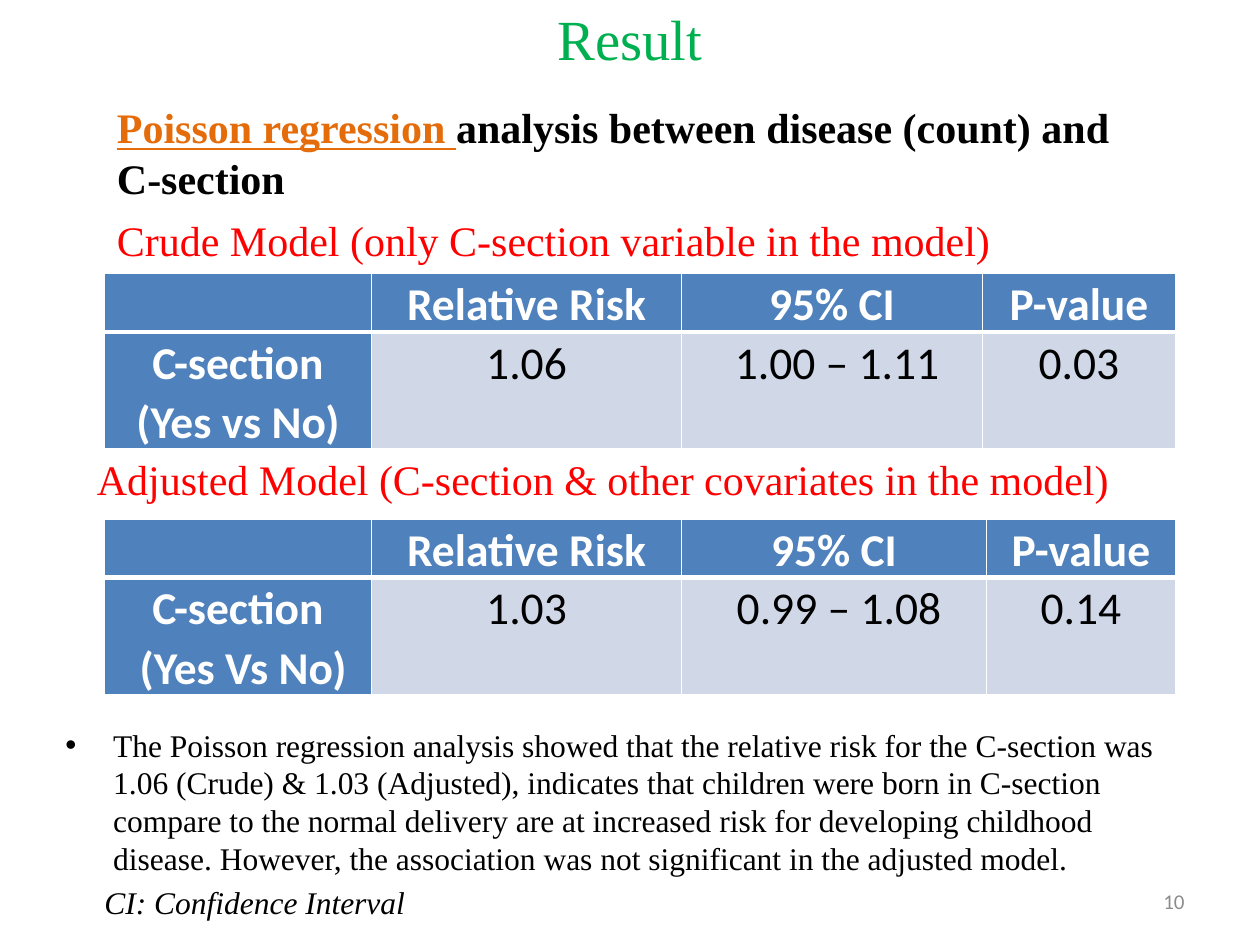
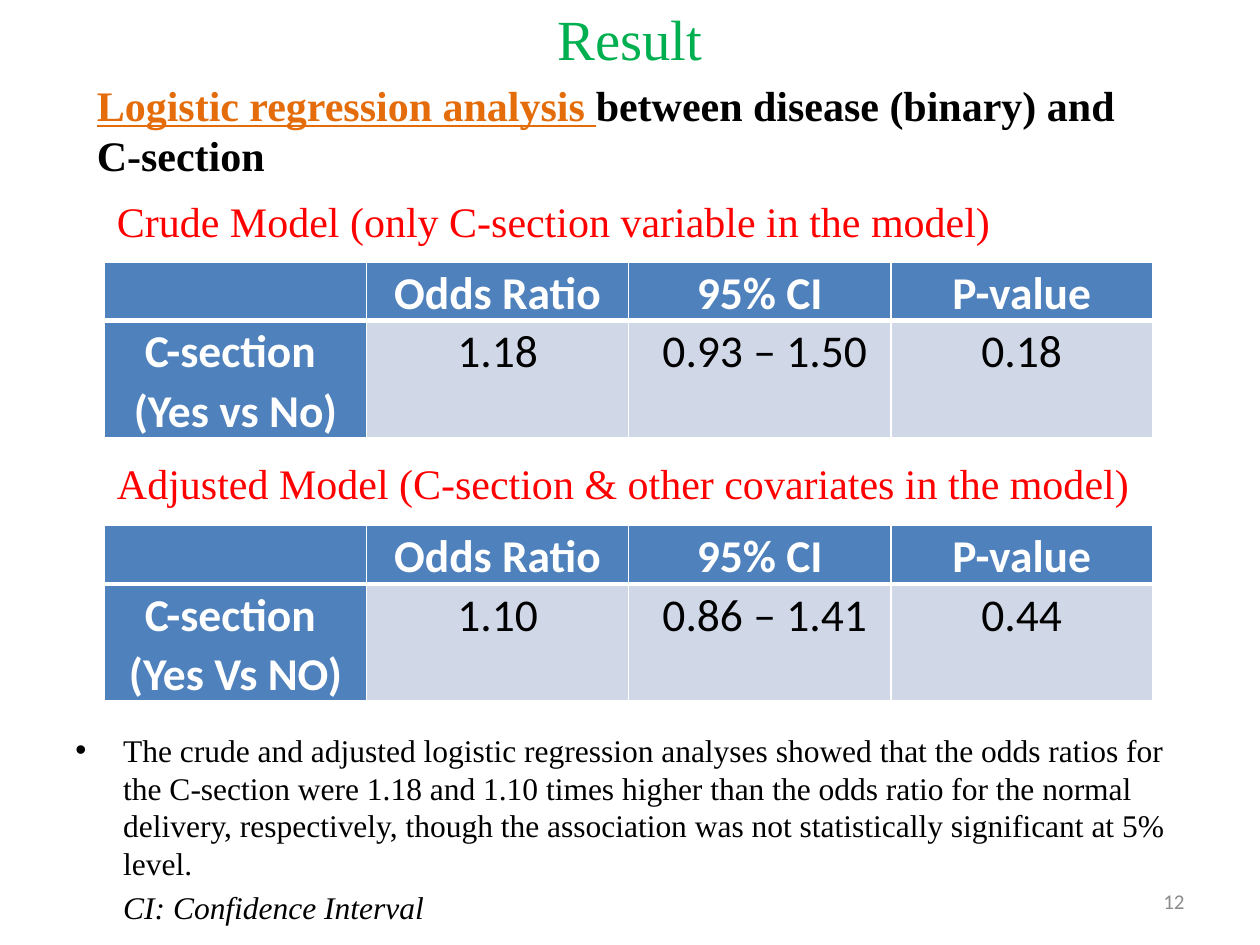
from dataclasses import dataclass

from lxml.etree import SubElement
from pptx import Presentation
from pptx.dml.color import RGBColor as RGB
from pptx.enum.text import MSO_ANCHOR as ANCHOR, PP_ALIGN as ALIGN
from pptx.oxml.ns import qn
from pptx.util import Inches, Pt


@dataclass(frozen=True)
class Theme:
    serif: str = "Times New Roman"
    sans: str = "Calibri"
    title: RGB = RGB(0x00, 0xB0, 0x50)
    method: RGB = RGB(0xE4, 0x6C, 0x0A)
    model: RGB = RGB(0xFF, 0x00, 0x00)
    ink: RGB = RGB(0x00, 0x00, 0x00)
    white: RGB = RGB(0xFF, 0xFF, 0xFF)
    header: RGB = RGB(0x4F, 0x81, 0xBD)
    value: RGB = RGB(0xD0, 0xD8, 0xE8)
    number: RGB = RGB(0x8C, 0x8C, 0x8C)
    title_size: float = 32.4
    heading_size: int = 24
    table_size: int = 26
    note_size: int = 18
    number_size: int = 12
    thin: int = 1
    thick: int = 3


THEME = Theme()
CRUDE = "Crude Model (only C-section variable in the model)"
ADJUSTED = "Adjusted Model (C-section & other covariates in the model)"
FOOTNOTE = "CI: Confidence Interval"


def style(font, name, size, color, bold=False, italic=False):
    font.name, font.size = name, Pt(size)
    font.color.rgb = color
    font.bold, font.italic = bold, italic


def add_frame(slide, left, top, width, height):
    box = slide.shapes.add_textbox(Inches(left), Inches(top), Inches(width), Inches(height))
    box.text_frame.word_wrap = True
    return box.text_frame


def add_title(slide, text):
    title = slide.shapes.title
    title.left, title.top = Inches(0.5), Inches(0.03)
    title.width, title.height = Inches(9), Inches(0.78)
    frame = title.text_frame
    frame.text = text
    frame.vertical_anchor = ANCHOR.TOP
    frame.margin_top = frame.margin_bottom = 0
    heading = frame.paragraphs[0]
    heading.alignment = ALIGN.CENTER
    style(heading.font, THEME.serif, THEME.title_size, THEME.title)


def add_method_heading(slide, place, method, subject):
    heading = add_frame(slide, *place, 0.91).paragraphs[0]
    for text, color in ((method, THEME.method), (subject, THEME.ink)):
        run = heading.add_run()
        run.text = text
        style(run.font, THEME.serif, THEME.heading_size, color, bold=True)
        run.font.underline = text == method


def add_model_label(slide, place, text):
    label = add_frame(slide, *place, 0.5).paragraphs[0]
    label.text = text
    style(label.font, THEME.serif, THEME.heading_size, THEME.model)


def set_borders(cell, **points):
    properties = cell._tc.get_or_add_tcPr()
    for side in "LRTB":
        width = Pt(points.get(side, THEME.thin))
        line = SubElement(properties, qn(f"a:ln{side}"), w=str(width))
        fill = SubElement(line, qn("a:solidFill"))
        SubElement(fill, qn("a:srgbClr"), val=str(THEME.white))


def fill_cell(cell, text, is_header, is_label):
    set_borders(cell, **{"B" if is_header else "T": THEME.thick})
    emphasised = is_header or is_label
    cell.fill.solid()
    cell.fill.fore_color.rgb = THEME.header if emphasised else THEME.value
    cell.margin_left = cell.margin_right = Inches(0.07)
    cell.margin_top = cell.margin_bottom = 0
    cell.text = text
    for line in cell.text_frame.paragraphs:
        line.alignment = ALIGN.CENTER
        line.line_spacing = 1.07
        style(line.font, THEME.sans, THEME.table_size,
              THEME.white if emphasised else THEME.ink, bold=emphasised)


def add_estimates(slide, top, widths, measure, values):
    rows = (("", measure, "95% CI", "P-value"), values)
    table = slide.shapes.add_table(2, len(widths), Inches(0.83), Inches(top),
                                   Inches(sum(widths)), Inches(1.35)).table
    for column, width in zip(table.columns, widths):
        column.width = Inches(width)
    for row, height in zip(table.rows, (0.45, 0.9)):
        row.height = Inches(height)
    for r, texts in enumerate(rows):
        for c, text in enumerate(texts):
            fill_cell(table.cell(r, c), text, is_header=r == 0, is_label=c == 0)


def indent(paragraph, left, hanging=0.0):
    properties = paragraph._p.get_or_add_pPr()
    properties.set("marL", str(Inches(left)))
    properties.set("indent", str(-Inches(hanging)))
    return properties


def add_finding(slide, place, text, footnote_indent):
    frame = add_frame(slide, *place, 1.38)
    finding, footnote = frame.paragraphs[0], frame.add_paragraph()
    finding.text, footnote.text = text, FOOTNOTE
    for paragraph in (finding, footnote):
        paragraph.space_before = Pt(3.6)
        style(paragraph.font, THEME.serif, THEME.note_size, THEME.ink,
              italic=paragraph is footnote)
    bullet = indent(finding, 0.38, 0.38)
    SubElement(bullet, qn("a:buFont"), typeface="Arial")
    SubElement(bullet, qn("a:buChar"), char="•")
    indent(footnote, footnote_indent)


def add_page_number(slide, number):
    frame = add_frame(slide, 7.17, 6.95, 2.33, 0.4)
    frame.vertical_anchor = ANCHOR.MIDDLE
    page = frame.paragraphs[0]
    page.text = str(number)
    page.alignment = ALIGN.RIGHT
    style(page.font, THEME.sans, THEME.number_size, THEME.number)


def add_result_slide(deck, number):
    slide = deck.slides.add_slide(deck.slide_layouts[5])
    add_title(slide, "Result")
    add_page_number(slide, number)
    return slide


def main():
    deck = Presentation()
    deck.slide_width, deck.slide_height = Inches(10), Inches(7.5)

    poisson = add_result_slide(deck, 10)
    add_method_heading(poisson, (0.83, 0.76, 8.5), "Poisson regression ",
                       "analysis between disease (count) and C-section")
    add_model_label(poisson, (0.83, 1.65, 8.33), CRUDE)
    add_estimates(poisson, 2.17, (2.12, 2.46, 2.39, 1.53), "Relative Risk",
                  ("C-section (Yes vs No)", "1.06", " 1.00 – 1.11", "0.03"))
    add_model_label(poisson, (0.67, 3.55, 9.17), ADJUSTED)
    add_estimates(poisson, 4.12, (2.12, 2.46, 2.42, 1.5), "Relative Risk",
                  ("C-section\n (Yes Vs No)", "1.03", " 0.99 – 1.08", "0.14"))
    add_finding(poisson, (0.42, 5.71, 9.08),
                "The Poisson regression analysis showed that the relative risk for the "
                "C-section was 1.06 (Crude) & 1.03 (Adjusted), indicates that children were "
                "born in C-section compare to the normal delivery are at increased risk for "
                "developing childhood disease. However, the association was not significant "
                "in the adjusted model.", 0.31)

    logistic = add_result_slide(deck, 12)
    even_widths = (2.08,) * 4
    add_method_heading(logistic, (0.67, 0.58, 8.67), "Logistic regression analysis ",
                       "between disease (binary) and C-section")
    add_model_label(logistic, (0.83, 1.5, 8.33), CRUDE)
    add_estimates(logistic, 2.08, even_widths, "Odds Ratio",
                  ("C-section \n(Yes vs No)", "1.18", " 0.93 – 1.50", "0.18"))
    add_model_label(logistic, (0.83, 3.58, 8.67), ADJUSTED)
    add_estimates(logistic, 4.17, even_widths, "Odds Ratio",
                  ("C-section \n(Yes Vs NO)", "1.10", " 0.86 – 1.41", "0.44"))
    add_finding(logistic, (0.5, 5.75, 9),
                "The crude and adjusted logistic regression analyses showed that the odds "
                "ratios for the C-section were 1.18 and 1.10 times higher than the odds ratio "
                "for the normal delivery, respectively, though the association was not "
                "statistically significant at 5% level.", 0.38)

    deck.save("out.pptx")


if __name__ == "__main__":
    main()
